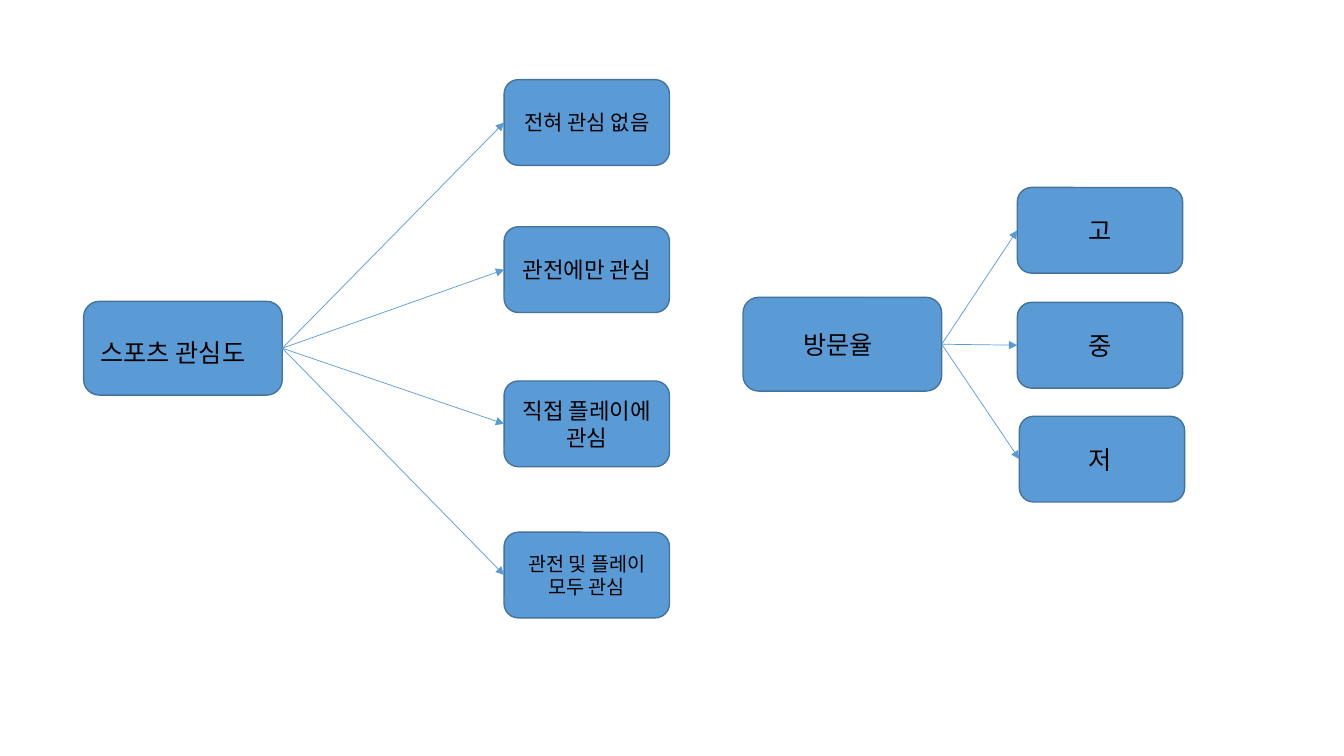
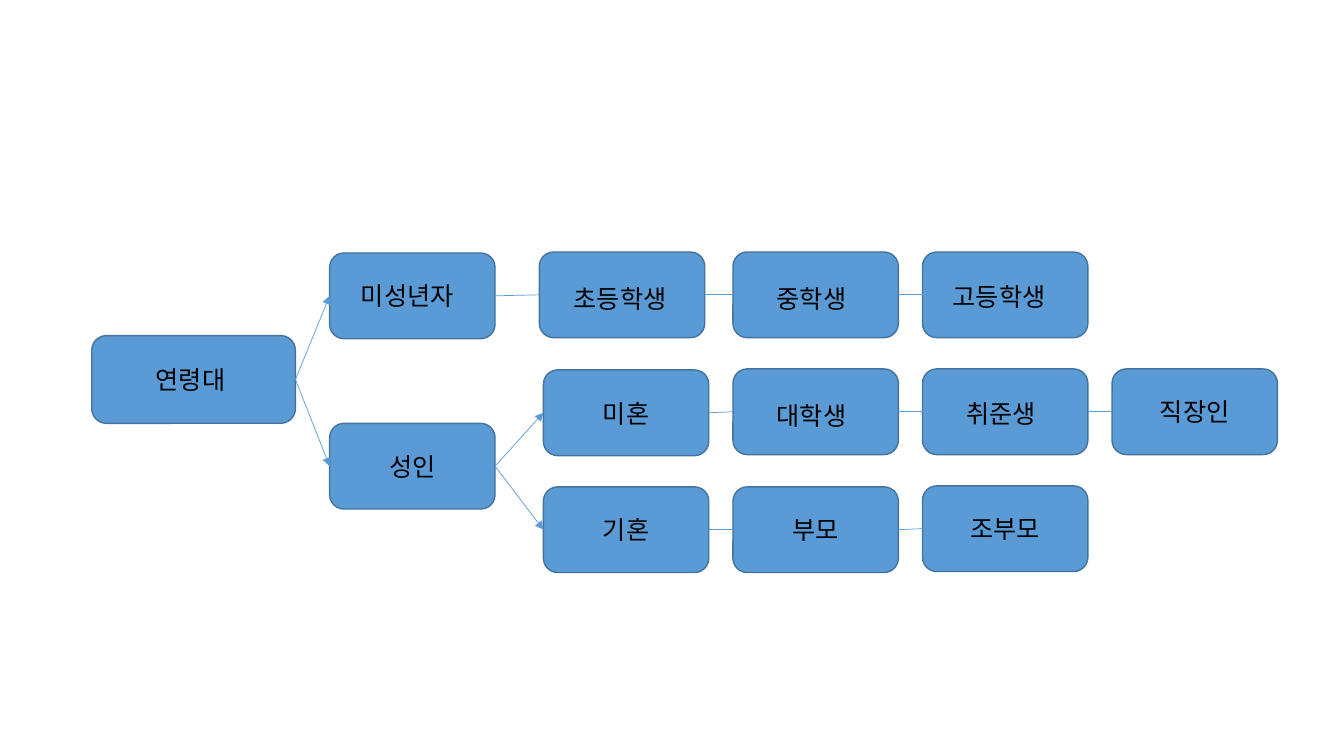
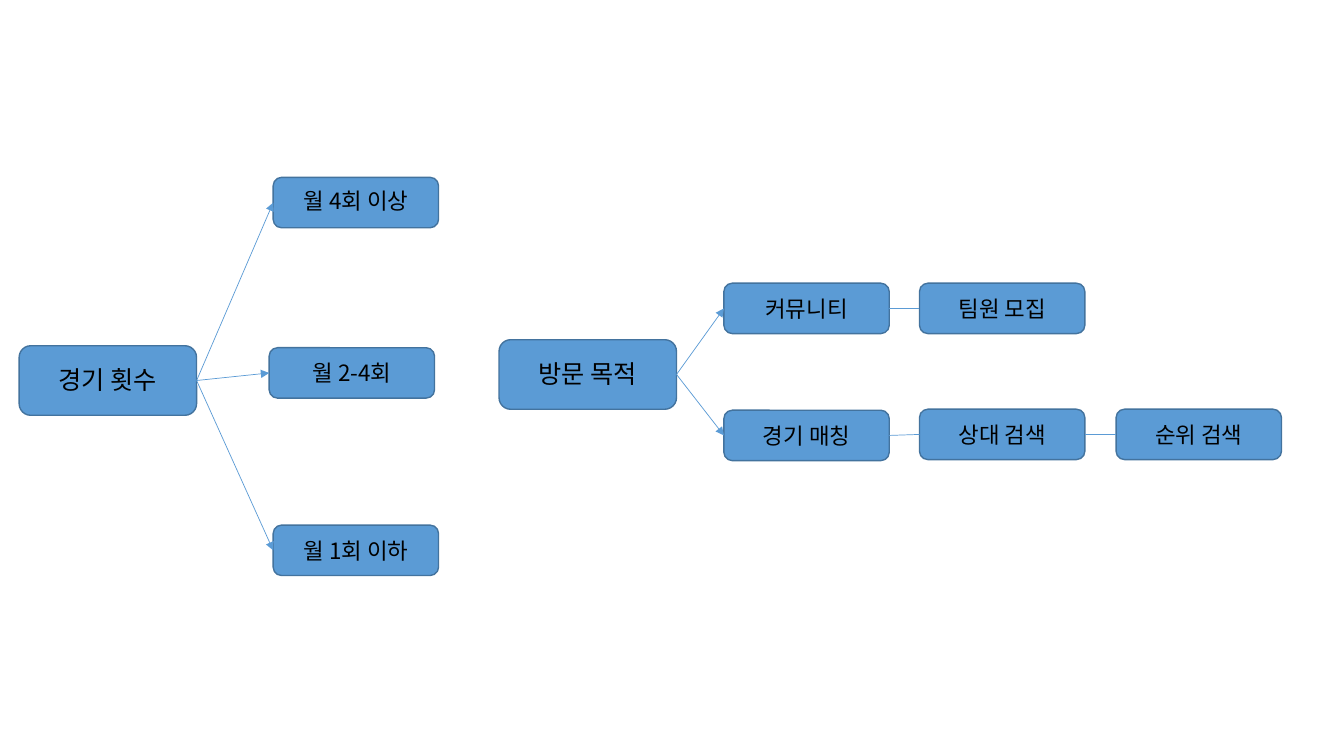
from itertools import pairwise

from lxml.etree import SubElement
from pptx import Presentation
from pptx.dml.color import RGBColor
from pptx.enum.shapes import MSO_CONNECTOR, MSO_SHAPE
from pptx.enum.text import MSO_ANCHOR, PP_ALIGN
from pptx.oxml.ns import qn
from pptx.util import Inches, Pt

COLORS = {"fill": "5B9BD5", "outline": "43739E", "link": "5B9BD5", "text": "000000"}
FONT = "Noto Sans CJK KR"
TOPIC = (1.97, 0.93)
AGE_TOPIC = (2.02, 0.87)
LOW_TOPIC = (1.76, 0.69)
OPTION = (1.64, 0.85)
LOW_OPTION = (1.64, 0.5)
LEFT_SITE, RIGHT_SITE = 1, 3


def color(name):
    return RGBColor.from_string(COLORS[name])


def write(frame, text, *, size=18, dx=0, dy=0):
    """Centre the text in the frame, moved by dx and dy inches."""
    frame.word_wrap = True
    frame.vertical_anchor = MSO_ANCHOR.MIDDLE
    frame.margin_left, frame.margin_right = Inches(0.1 + dx), Inches(0.1 - dx)
    frame.margin_top, frame.margin_bottom = Inches(0.05 + dy), Inches(0.05 - dy)
    paragraph = frame.paragraphs[0]
    paragraph.alignment = PP_ALIGN.CENTER
    run = paragraph.add_run()
    run.text = text
    run.font.size = Pt(size)
    run.font.name = FONT
    run.font.color.rgb = color("text")
    SubElement(run.font._element, qn("a:ea"), typeface=FONT)


def add_node(slide, text, left, top, extent=OPTION, **text_format):
    node = slide.shapes.add_shape(
        MSO_SHAPE.ROUNDED_RECTANGLE, Inches(left), Inches(top), *map(Inches, extent))
    node.shadow.inherit = False
    node.fill.solid()
    node.fill.fore_color.rgb = color("fill")
    node.line.color.rgb = color("outline")
    node.line.width = Pt(1)
    write(node.text_frame, text, **text_format)
    return node


def link(slide, source, target, arrow=False):
    """Join the right side of source to the left side of target."""
    connector = slide.shapes.add_connector(MSO_CONNECTOR.STRAIGHT, 0, 0, 0, 0)
    connector.begin_connect(source, RIGHT_SITE)
    connector.end_connect(target, LEFT_SITE)
    connector.line.color.rgb = color("link")
    connector.line.width = Pt(0.5)
    if arrow:
        SubElement(connector.line._get_or_add_ln(), qn("a:tailEnd"), type="triangle")
    SubElement(connector._element.spPr, qn("a:effectLst"))


def branch(slide, topic, options):
    for option in options:
        link(slide, topic, option, arrow=True)


def chain(slide, *nodes):
    for source, target in pairwise(nodes):
        link(slide, source, target)


def build_interest_and_visits(slide):
    interest = add_node(slide, "스포츠 관심도", 0.83, 2.99, TOPIC, dx=-0.1, dy=0.04)
    levels = [("전혀 관심 없음", 0.79, 15), ("관전에만 관심", 2.25, 16),
              ("직접 플레이에 관심", 3.78, 16), ("관전 및 플레이 모두 관심", 5.28, 14)]
    branch(slide, interest,
           [add_node(slide, text, 5, top, size=size) for text, top, size in levels])

    visit_rate = add_node(slide, "방문율", 7.37, 2.95, TOPIC, dx=-0.04)
    rates = [("고", 10.09, 1.86, 0), ("중", 10.09, 3, 0), ("저", 10.11, 4.13, -0.02)]
    branch(slide, visit_rate,
           [add_node(slide, text, left, top, dx=dx) for text, left, top, dx in rates])


def build_age_groups(slide):
    age = add_node(slide, "연령대", 0.91, 3.33, AGE_TOPIC, dx=-0.03)
    minor = add_node(slide, "미성년자", 3.27, 2.51, dx=-0.05)
    adult = add_node(slide, "성인", 3.27, 4.2)
    single = add_node(slide, "미혼", 5.39, 3.67, dy=0.01)
    married = add_node(slide, "기혼", 5.39, 4.83)
    branch(slide, age, [minor, adult])
    branch(slide, adult, [single, married])

    chain(slide, minor,
          add_node(slide, "초등학생", 5.35, 2.5, dx=-0.02, dy=0.04),
          add_node(slide, "중학생", 7.27, 2.5, dx=-0.04, dy=0.04),
          add_node(slide, "고등학생", 9.15, 2.5, dx=-0.06, dy=0.02))
    chain(slide, single,
          add_node(slide, "대학생", 7.27, 3.66, dx=-0.04, dy=0.04),
          add_node(slide, "취준생", 9.15, 3.66, dx=-0.04, dy=0.02),
          add_node(slide, "직장인", 11.03, 3.66))
    chain(slide, married,
          add_node(slide, "부모", 7.27, 4.83),
          add_node(slide, "조부모", 9.15, 4.82))


def build_games_and_purpose(slide):
    def add_option(text, left, top, dy=0):
        return add_node(slide, text, left, top, LOW_OPTION, size=16, dy=dy)

    game_count = add_node(slide, "경기 횟수", 0.19, 3.43, LOW_TOPIC, dy=-0.01)
    branch(slide, game_count, [add_option("월 4회 이상", 2.71, 1.76, dy=-0.02),
                               add_option("월 2-4회", 2.67, 3.45),
                               add_option("월 1회 이하", 2.71, 5.21)])

    purpose = add_node(slide, "방문 목적", 4.95, 3.37, LOW_TOPIC, dy=-0.01)
    community = add_option("커뮤니티", 7.18, 2.81)
    matching = add_option("경기 매칭", 7.18, 4.07)
    branch(slide, purpose, [community, matching])
    chain(slide, community, add_option("팀원 모집", 9.12, 2.81))
    chain(slide, matching, add_option("상대 검색", 9.12, 4.06),
          add_option("순위 검색", 11.07, 4.06))


def main():
    presentation = Presentation()
    presentation.slide_width, presentation.slide_height = Inches(13.33), Inches(7.5)
    blank = presentation.slide_layouts[6]
    for build in (build_interest_and_visits, build_age_groups, build_games_and_purpose):
        build(presentation.slides.add_slide(blank))
    presentation.save("out.pptx")


if __name__ == "__main__":
    main()
